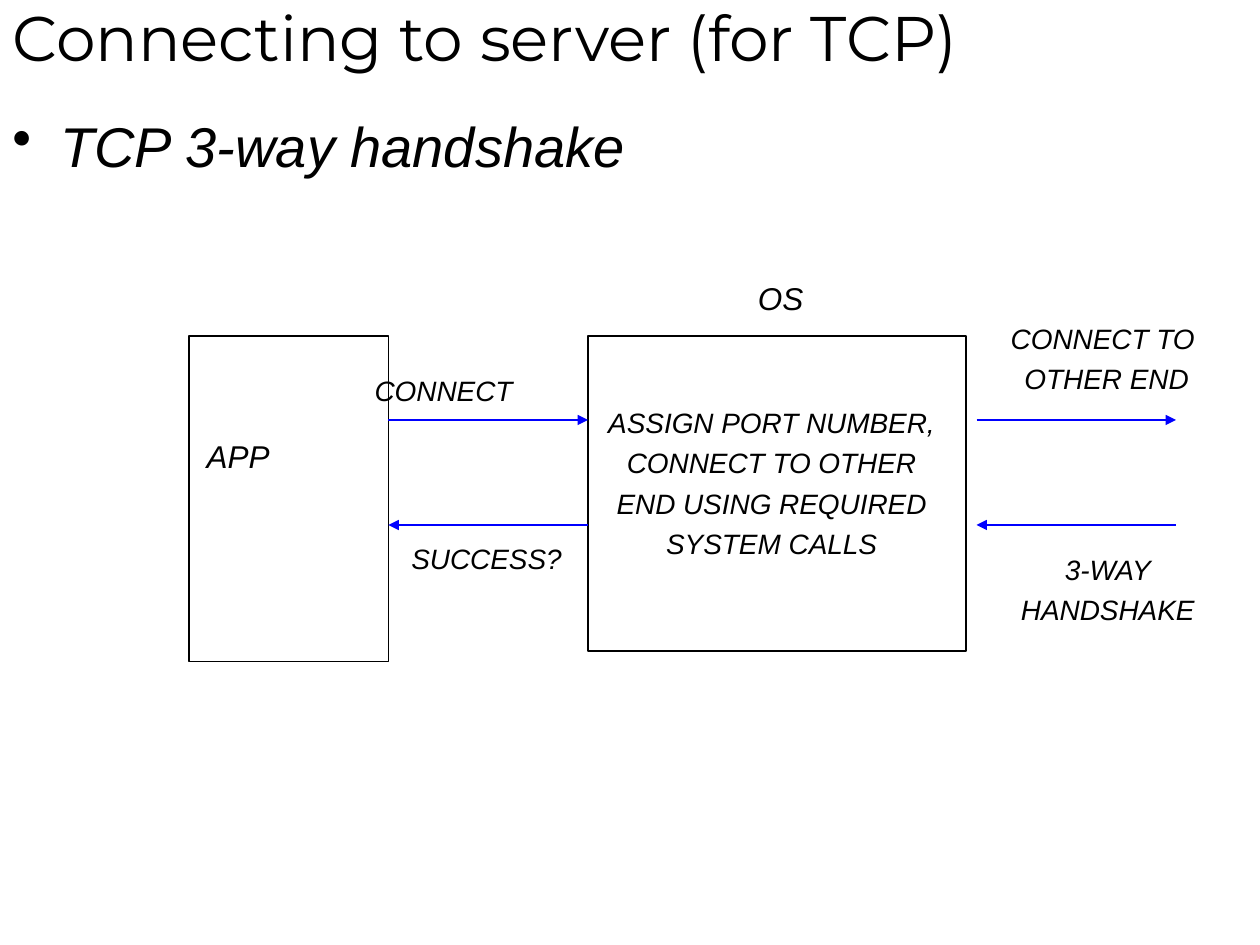
"""Build a slide that shows the TCP connection handshake between app, OS and peer."""
import pptx
import pptx.dml.color
import pptx.enum.shapes
import pptx.enum.text
import pptx.oxml.ns
import pptx.util
from lxml import etree

COLORS = {"ink": "000000", "arrow": "0000FF"}
WIDTH, HEIGHT = 10, 7.5
COLUMNS, ROWS = 120, 90
HANGING = 0.38
LINE_WIDTH = 0.75

TITLE = ("Connecting to server (for TCP)", (0, -1, 120, 9))
BULLET = ("TCP 3-way handshake", (0, 10, 120, 74))
FRAMES = [(56, 32, 36, 30), (18, 32, 19, 31)]
ARROW_SPANS = [(37, 56), (93, 112)]
REQUEST_ROW, REPLY_ROW = 40, 50
LABELS = [
    ("APP", (18.5, 41, 17.4, 4.8), 18, "LEFT"),
    ("OS", (66.5, 26, 15.7, 4.8), 18, "CENTER"),
    ("CONNECT", (34.5, 35, 24.5, 4.4), 16, "LEFT"),
    ("ASSIGN PORT NUMBER,\nCONNECT TO OTHER\nEND USING REQUIRED\nSYSTEM CALLS",
     (56, 38, 35, 16), 16, "CENTER"),
    ("SUCCESS?", (33.5, 51, 25.7, 4.4), 16, "CENTER"),
    ("CONNECT TO \nOTHER END", (90.5, 30, 29.8, 8.3), 16, "CENTER"),
    ("3-WAY\nHANDSHAKE", (91.5, 52, 28, 8.3), 16, "CENTER"),
]


def across(columns):
    return pptx.util.Inches(columns * WIDTH / COLUMNS)


def down(rows):
    return pptx.util.Inches(rows * HEIGHT / ROWS)


def place(area):
    left, top, width, height = area
    return across(left), down(top), across(width), down(height)


def color(name):
    return pptx.dml.color.RGBColor.from_string(COLORS[name])


def style_line(line, name):
    line.color.rgb = color(name)
    line.width = pptx.util.Pt(LINE_WIDTH)


def add_text(page, text, area, size, align="LEFT", font="Arial", italic=True):
    box = page.shapes.add_textbox(*place(area))
    frame = box.text_frame
    frame.word_wrap = True
    frame.text = text
    for paragraph in frame.paragraphs:
        paragraph.alignment = getattr(pptx.enum.text.PP_ALIGN, align)
        paragraph.space_before = pptx.util.Pt(size / 4)
        for span in paragraph.runs:
            span.font.name = font
            span.font.size = pptx.util.Pt(size)
            span.font.italic = italic
            span.font.color.rgb = color("ink")
    return frame


def add_bullet(paragraph):
    properties = paragraph._p.get_or_add_pPr()
    indent = pptx.util.Inches(HANGING)
    properties.set("marL", str(indent))
    properties.set("indent", str(-indent))
    mark = etree.SubElement(properties, pptx.oxml.ns.qn("a:buChar"))
    mark.set("char", "•")


def add_frame(page, area):
    shape = page.shapes.add_shape(pptx.enum.shapes.MSO_SHAPE.RECTANGLE, *place(area))
    shape.shadow.inherit = False
    shape.fill.background()
    style_line(shape.line, "ink")


def add_arrow(page, start, end, row):
    arrow = page.shapes.add_connector(
        pptx.enum.shapes.MSO_CONNECTOR.STRAIGHT,
        across(start), down(row), across(end), down(row))
    style_line(arrow.line, "arrow")
    head = etree.SubElement(arrow.line._get_or_add_ln(), pptx.oxml.ns.qn("a:tailEnd"))
    head.set("type", "triangle")
    etree.SubElement(arrow._element.spPr, pptx.oxml.ns.qn("a:effectLst"))


def main():
    deck = pptx.Presentation()
    deck.slide_width = pptx.util.Inches(WIDTH)
    deck.slide_height = pptx.util.Inches(HEIGHT)
    page = deck.slides.add_slide(deck.slide_layouts[6])

    title = add_text(page, *TITLE, 36, font="Montserrat", italic=False)
    title.vertical_anchor = pptx.enum.text.MSO_ANCHOR.MIDDLE
    title.paragraphs[0].space_before = pptx.util.Pt(0)
    add_bullet(add_text(page, *BULLET, 32).paragraphs[0])

    for area in FRAMES:
        add_frame(page, area)
    for left, right in ARROW_SPANS:
        add_arrow(page, left, right, REQUEST_ROW)
        add_arrow(page, right, left, REPLY_ROW)
    for label in LABELS:
        add_text(page, *label)

    deck.save("out.pptx")


if __name__ == "__main__":
    main()
